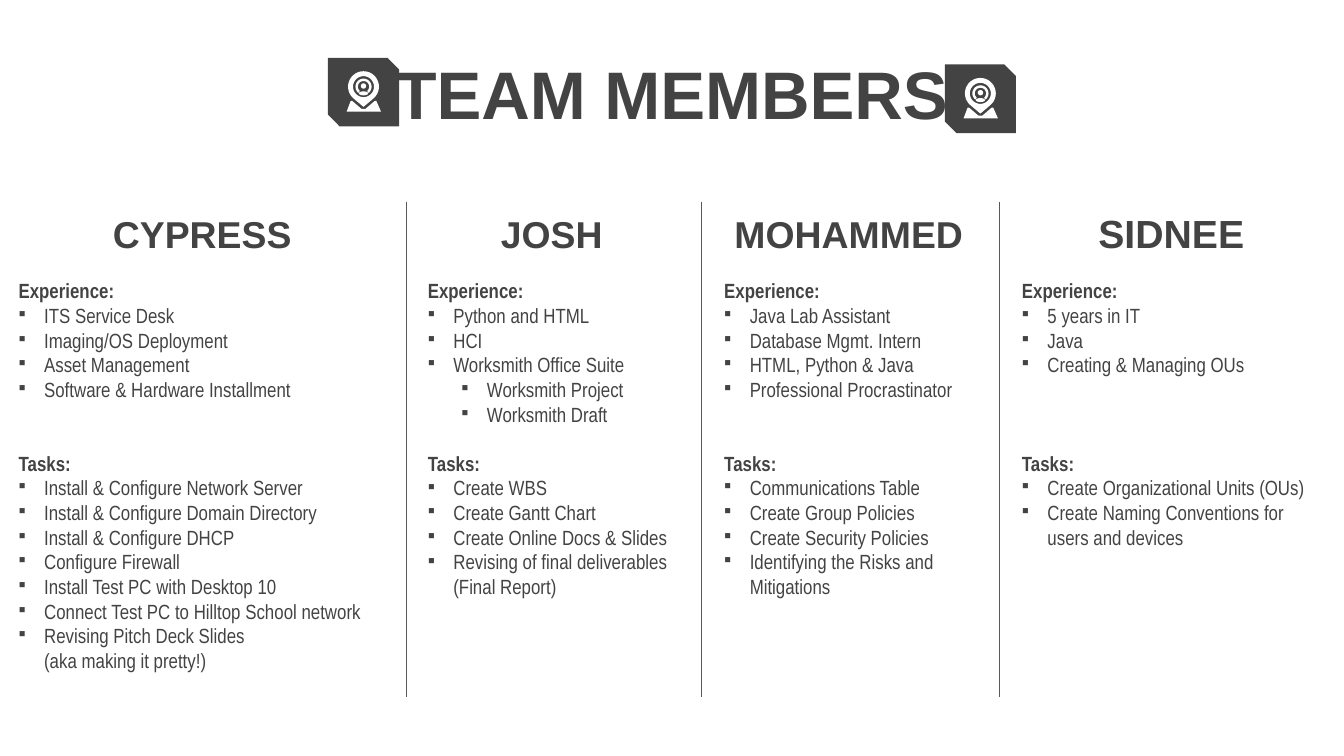
import math
from dataclasses import dataclass

import pptx
import pptx.dml.color
import pptx.enum.shapes
import pptx.enum.text
import pptx.oxml.ns
import pptx.util
from lxml import etree

Shape = pptx.enum.shapes.MSO_SHAPE
Align = pptx.enum.text.PP_ALIGN
Anchor = pptx.enum.text.MSO_ANCHOR
qn = pptx.oxml.ns.qn
Point = tuple[float, float]

# Grid of 100 columns; rows are as tall as columns are wide
CELL = pptx.util.Inches(0.1)
COLS, ROWS = 100, 56.25


@dataclass(frozen=True)
class Theme:
    ink: str = "434343"
    rule: str = "595959"
    paper: str = "FFFFFF"
    head: str = "Arial"
    body: str = "Arial Narrow"
    big: float = 36
    mid: float = 20
    small: float = 11
    pitch: float = 13.2


@dataclass(frozen=True)
class Member:
    name: str
    left: float
    width: float
    skills: tuple[str, ...]
    tasks: tuple[str, ...]
    subs: tuple[str, ...] = ()
    size: float = Theme.mid
    shift: float = 0  # offset of the name to the left


THEME = Theme()
TOP, SPLIT, BASE = 15, 19.7, 51.9
TASK_ROW = 6  # text rows kept for the experience part, gap included
HANG = pptx.util.Inches(0.19)
STEP = pptx.util.Inches(0.25)
RULES = (30.25, 52.2, 74.35)
ICONS = ((24.4, 4.3), (70.3, 4.8))

TEAM = (
    Member("CYPRESS", 0.4, 29.3,
           ("ITS Service Desk", "Imaging/OS Deployment", "Asset Management",
            "Software & Hardware Installment"),
           ("Install & Configure Network Server",
            "Install & Configure Domain Directory",
            "Install & Configure DHCP", "Configure Firewall",
            "Install Test PC with Desktop 10",
            "Connect Test PC to Hilltop School network",
            "Revising Pitch Deck Slides\v(aka making it pretty!)")),
    Member("JOSH", 30.85, 20.7,
           ("Python and HTML", "HCI", "Worksmith Office Suite"),
           ("Create WBS", "Create Gantt Chart", "Create Online Docs & Slides",
            "Revising of final deliverables (Final Report)"),
           subs=("Worksmith Project", "Worksmith Draft"), shift=0.15),
    Member("MOHAMMED", 52.9, 20.8,
           ("Java Lab Assistant", "Database Mgmt. Intern",
            "HTML, Python & Java", "Professional Procrastinator"),
           ("Communications Table", "Create Group Policies",
            "Create Security Policies",
            "Identifying the Risks and Mitigations"), shift=0.15),
    Member("SIDNEE", 75.05, 24.2,
           ("5 years in IT", "Java", "Creating & Managing OUs"),
           ("Create Organizational Units (OUs)",
            "Create Naming Conventions for\vusers and devices"), size=21),
)


def grid(*cells: float) -> list[int]:
    return [round(cell * CELL) for cell in cells]


def tint(code: str) -> pptx.dml.color.RGBColor:
    return pptx.dml.color.RGBColor.from_string(code)


def paint(shape, code: str) -> None:
    shape.shadow.inherit = False
    shape.fill.solid()
    shape.fill.fore_color.rgb = tint(code)
    shape.line.fill.background()


def style(para, face: str, size: float, bold: bool) -> None:
    font = para.font
    font.name, font.size, font.bold = face, pptx.util.Pt(size), bold
    font.color.rgb = tint(THEME.ink)


def frame(slide, box: tuple, anchor, veil: bool = True):
    shape = slide.shapes.add_textbox(*grid(*box))
    if veil:
        paint(shape, THEME.paper)
        color = shape.fill._xPr.find(".//" + qn("a:srgbClr"))
        etree.SubElement(color, qn("a:alpha"), val="50000")
    text = shape.text_frame
    text.word_wrap, text.vertical_anchor = True, anchor
    text.margin_left = text.margin_right = CELL
    text.margin_top = text.margin_bottom = CELL
    return text


def title(slide, box: tuple, words: str, size: float, veil: bool) -> None:
    para = frame(slide, box, Anchor.MIDDLE, veil).paragraphs[0]
    para.text, para.alignment = words, Align.CENTER
    style(para, THEME.head, size, True)


def bullet(para, level: int) -> None:
    para.level = level
    props = para._p.get_or_add_pPr()
    props.set("marL", str(HANG + level * STEP))
    props.set("indent", str(-HANG))
    color = etree.SubElement(props, qn("a:buClr"))
    etree.SubElement(color, qn("a:srgbClr"), val=THEME.ink)
    etree.SubElement(props, qn("a:buFont"), typeface=THEME.body)
    etree.SubElement(props, qn("a:buChar"), char="▪")


def column(slide, who: Member) -> None:
    title(slide, (who.left - who.shift, TOP, who.width, SPLIT - TOP),
          who.name, who.size, True)
    text = frame(slide, (who.left, SPLIT, who.width, BASE - SPLIT), Anchor.TOP)
    rows = [("Experience:", None), *((item, 0) for item in who.skills),
            *((item, 1) for item in who.subs),
            ("Tasks:", None), *((item, 0) for item in who.tasks)]
    gap = TASK_ROW - len(who.skills) - len(who.subs)
    for spot, (words, level) in enumerate(rows):
        para = text.add_paragraph() if spot else text.paragraphs[0]
        para.text = words
        if level is not None:
            bullet(para, level)
        elif spot:
            para.space_before = pptx.util.Pt(gap * THEME.pitch)
        style(para, THEME.body, THEME.small, level is None)


def rule(slide, left: float) -> None:
    line = slide.shapes.add_connector(
        pptx.enum.shapes.MSO_CONNECTOR.STRAIGHT, *grid(left, TOP, left, BASE))
    line.line.color.rgb = tint(THEME.rule)
    line.line.width = pptx.util.Pt(0.75)
    etree.SubElement(line._element.spPr, qn("a:effectLst"))


def arc(size: float, start: int, stop: int) -> list[Point]:
    """Points round the centre of the pin, by angle in degrees."""
    step = 10 if stop > start else -10
    turns = [math.radians(deg) for deg in range(start, stop + step, step)]
    return [(2.65 + size * math.cos(turn), 2.15 + size * math.sin(turn))
            for turn in turns]


def icon(slide, left: float, top: float) -> None:
    def trace(*loops: list[Point]) -> None:
        paths = [[grid(left + x, top + y) for x, y in loop] for loop in loops]
        pen = slide.shapes.build_freeform(*paths[0][0])
        for spot, path in enumerate(paths):
            if spot:
                pen.move_to(*path[0])
            pen.add_line_segments(path[1:], close=True)
        paint(pen.convert_to_shape(), THEME.paper)

    # Badge, then pin, ring and base
    badge = slide.shapes.add_shape(Shape.SNIP_2_DIAG_RECTANGLE,
                                   *grid(left, top, 5.3, 5.1))
    badge.adjustments[0], badge.adjustments[1] = 0, 0.17
    paint(badge, THEME.ink)
    trace(arc(1.15, 130, 410) + [(2.65, 3.65)], arc(0.78, 360, 0))
    trace(arc(0.6, 130, 410) + arc(0.42, 410, 130))
    trace([(1.7, 3.2), (1.4, 4), (3.95, 4), (3.6, 3.2), (3.5, 3.2),
           (2.8, 3.8), (2.5, 3.8), (1.8, 3.2)])
    # Head and shoulders
    for x, y, wide, high in ((2.45, 1.9, 0.4, 0.4), (2.3, 2.5, 0.7, 0.3)):
        part = slide.shapes.add_shape(
            Shape.OVAL, *grid(left + x, top + y, wide, high))
        paint(part, THEME.paper)


def main() -> None:
    deck = pptx.Presentation()
    deck.slide_width, deck.slide_height = grid(COLS, ROWS)
    slide = deck.slides.add_slide(deck.slide_layouts[6])
    title(slide, (21.5, 3.9, 57, 6), "TEAM MEMBERS", THEME.big, False)
    for who in TEAM:
        column(slide, who)
    for left in RULES:
        rule(slide, left)
    for left, top in ICONS:
        icon(slide, left, top)
    deck.save("out.pptx")


if __name__ == "__main__":
    main()
